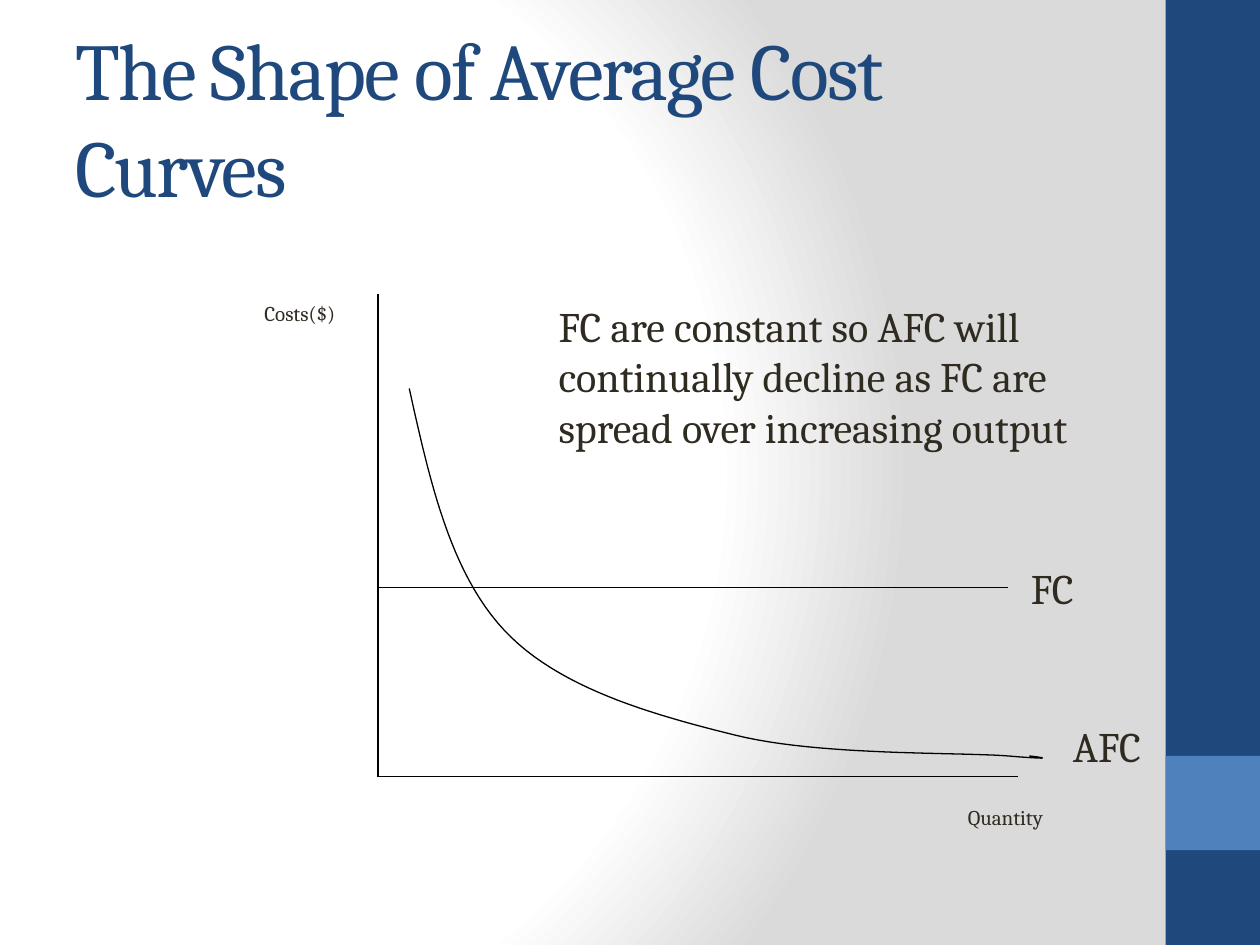
import pptx
import pptx.dml.color
import pptx.enum.shapes
import pptx.enum.text
import pptx.oxml
import pptx.oxml.ns
import pptx.util
from pptx.util import Cm


def color(hex_code):
    return pptx.dml.color.RGBColor.from_string(hex_code)


def add_label(wording, left, top, width, height, size, ink="2F2B20"):
    box = slide.shapes.add_textbox(Cm(left), Cm(top), Cm(width), Cm(height))
    box.text_frame.word_wrap = True
    run = box.text_frame.paragraphs[0].add_run()
    run.text = wording
    run.font.name = "Cambria"
    run.font.size = pptx.util.Pt(size)
    run.font.color.rgb = color(ink)
    return box.text_frame, run


deck = pptx.Presentation()
deck.slide_width, deck.slide_height = Cm(25.4), Cm(19.05)
slide = deck.slides.add_slide(deck.slide_layouts[6])

# Background: white glow fading to grey on the right
slide.background.fill.gradient()
plain_gradient = slide.element.find(".//" + pptx.oxml.ns.qn("a:gradFill"))
stops = "".join(
    f'<a:gs pos="{percent * 1000}"><a:srgbClr val="{shade}"/></a:gs>'
    for percent, shade in [(0, "FFFFFF"), (75, "FFFFFF"), (100, "DADADA")]
)
glow = pptx.oxml.parse_xml(
    f'<a:gradFill {pptx.oxml.ns.nsdecls("a")} rotWithShape="1"><a:gsLst>{stops}</a:gsLst>'
    '<a:path path="circle"><a:fillToRect l="20000" t="50000" r="100000" b="50000"/></a:path>'
    "</a:gradFill>"
)
plain_gradient.getparent().replace(plain_gradient, glow)

# Side band with its lighter square
for top, height, shade in [(0, 19.05, "1F497D"), (15.24, 1.9, "4F81BD")]:
    band = slide.shapes.add_shape(
        pptx.enum.shapes.MSO_SHAPE.RECTANGLE, Cm(23.5), Cm(top), Cm(1.9), Cm(height)
    )
    band.shadow.inherit = False
    band.fill.solid()
    band.fill.fore_color.rgb = color(shade)
    band.line.fill.background()

# Title
title_frame, title_run = add_label(
    "The Shape of Average Cost Curves", 1.27, 0.76, 21.16, 3.18, 46, "1F497D"
)
title_frame.vertical_anchor = pptx.enum.text.MSO_ANCHOR.MIDDLE
title_run.font._element.set("spc", "-100")

# Axes and the fixed cost line
origin_x, origin_y = 7.62, 15.66
fixed_cost_y = 11.85
for x1, y1, x2, y2 in [
    (origin_x, 5.93, origin_x, origin_y),
    (origin_x, origin_y, 20.53, origin_y),
    (origin_x, fixed_cost_y, 20.32, fixed_cost_y),
]:
    rule = slide.shapes.add_connector(
        pptx.enum.shapes.MSO_CONNECTOR.STRAIGHT, Cm(x1), Cm(y1), Cm(x2), Cm(y2)
    )
    rule.line.color.rgb = color("000000")
    rule.line.width = pptx.util.Pt(0.75)
    rule._element.spPr.append(
        pptx.oxml.parse_xml(f'<a:effectLst {pptx.oxml.ns.nsdecls("a")}/>')
    )

# Average fixed cost curve: Bezier segments drawn as short steps
start = (8.25, 7.83)
segments = [
    [(8.66, 9.68), (9.07, 11.53), (10.16, 12.7)],
    [(11.25, 13.87), (13.13, 14.4), (14.82, 14.82)],
    [(16.51, 15.24), (19.33, 15.16), (20.32, 15.24)],
    [(21.31, 15.32), (21.03, 15.27), (20.75, 15.24)],
]
steps = 24
outline = slide.shapes.build_freeform(Cm(start[0]), Cm(start[1]))
curve_points = []
for segment in segments:
    anchors = [start, *segment]
    for step in range(1, steps + 1):
        t = step / steps
        weights = [(1 - t) ** 3, 3 * t * (1 - t) ** 2, 3 * t**2 * (1 - t), t**3]
        curve_points.append(
            tuple(Cm(sum(w * a[axis] for w, a in zip(weights, anchors))) for axis in (0, 1))
        )
    start = segment[-1]
outline.add_line_segments(curve_points, close=False)
afc_curve = outline.convert_to_shape()
afc_curve.shadow.inherit = False
afc_curve.fill.background()
afc_curve.line.color.rgb = color("000000")
afc_curve.line.width = pptx.util.Pt(0.75)

# Axis names, curve names and explanation
for label in [
    ("Costs($)", 5.08, 5.93, 2.12, 0.77, 12),
    ("Quantity", 19.26, 16.09, 2.12, 0.77, 12),
    ("FC", 20.53, 11.22, 2.12, 1.27, 24),
    ("AFC", 21.38, 14.4, 2.75, 1.27, 24),
    (
        "FC are constant so AFC will continually decline as FC are "
        "spread over increasing output",
        11.01, 5.93, 12.28, 3.3, 24,
    ),
]:
    add_label(*label)

deck.save("out.pptx")
